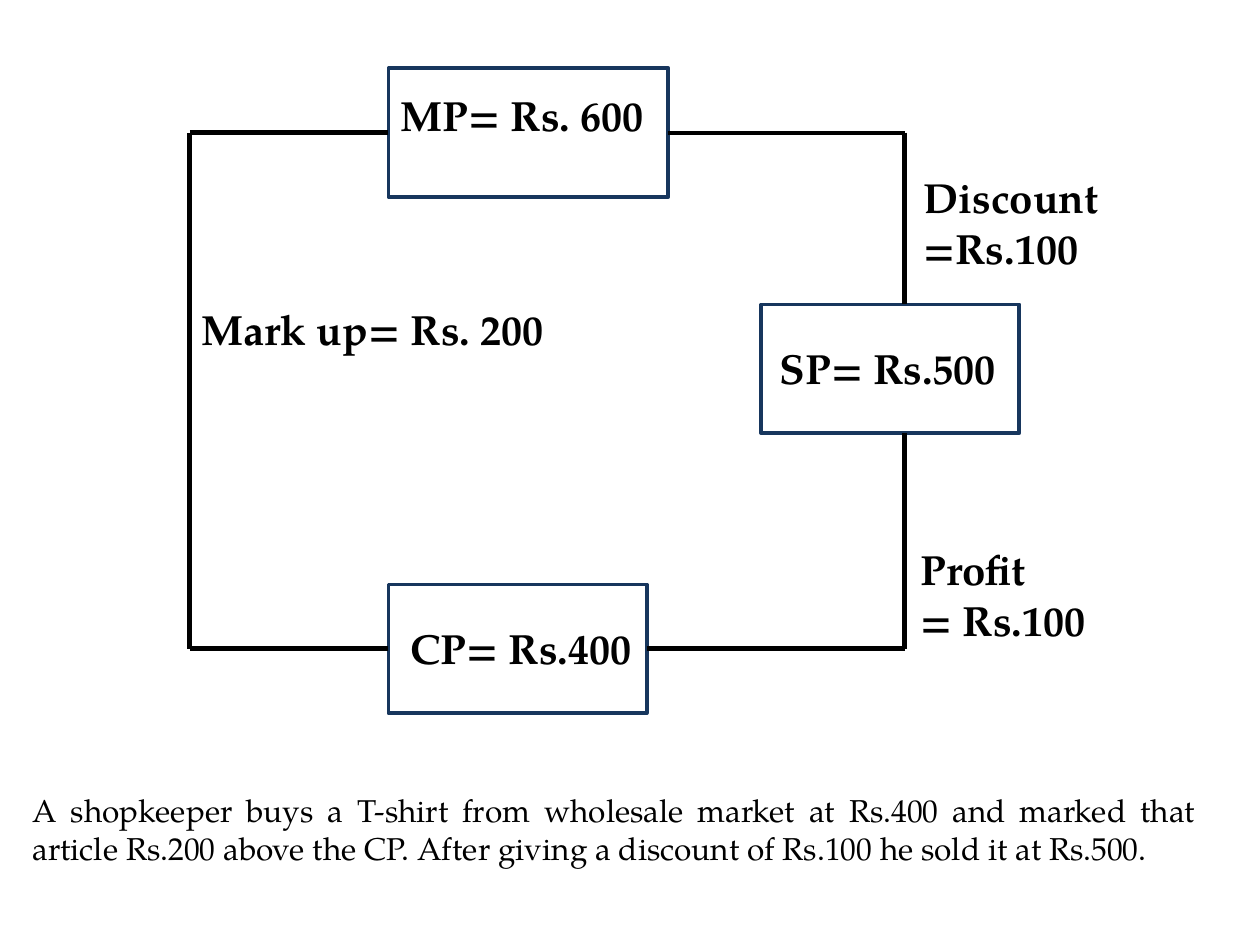
from lxml import etree
from pptx import Presentation
from pptx.dml.color import RGBColor
from pptx.enum import shapes, text
from pptx.oxml.ns import qn
from pptx.util import Pt

BLACK = RGBColor(0x00, 0x00, 0x00)
WHITE = RGBColor(0xFF, 0xFF, 0xFF)
NAVY = RGBColor(0x17, 0x36, 0x5D)
FONT = "TeX Gyre Pagella"

presentation = Presentation()
presentation.slide_width = Pt(720)
presentation.slide_height = Pt(540)
slide = presentation.slides.add_slide(presentation.slide_layouts[6])


def add_text(lines, left, top, width, height, size=24, bold=True,
             alignment=text.PP_ALIGN.LEFT):
    box = slide.shapes.add_textbox(Pt(left), Pt(top), Pt(width), Pt(height))
    frame = box.text_frame
    frame.word_wrap = True
    frame.auto_size = text.MSO_AUTO_SIZE.SHAPE_TO_FIT_TEXT
    frame.text = "\n".join(lines)
    font_format = {"name": FONT, "size": Pt(size), "bold": bold}
    for paragraph in frame.paragraphs:
        paragraph.alignment = alignment
        for name, value in font_format.items():
            setattr(paragraph.font, name, value)
        paragraph.font.color.rgb = BLACK


# Price boxes: left, top, width
BOX_HEIGHT = 73.5
sp_top = 174
for left, top, width in [(435, sp_top, 147.5), (222, 334, 147.5), (222, 39, 160)]:
    price_box = slide.shapes.add_shape(
        shapes.MSO_SHAPE.RECTANGLE, Pt(left), Pt(top), Pt(width), Pt(BOX_HEIGHT))
    price_box.shadow.inherit = False
    price_box.fill.solid()
    price_box.fill.fore_color.rgb = WHITE
    price_box.line.color.rgb = NAVY
    price_box.line.width = Pt(2.25)

add_text(["MP= Rs. 600"], 222, 47.5, 160, 36)
add_text(["CP= Rs.400"], 227.5, 352, 142.5, 36)
add_text(["SP= Rs.500"], 438.5, 192, 140, 36)

# Lines joining the boxes
left_x, right_x = 108.5, 517
mp_y, cp_y = 75.75, 370.75
connections = [
    (222, cp_y, left_x, cp_y, 3),
    (left_x, cp_y, left_x, mp_y, 3),
    (left_x, mp_y, 222, mp_y, 3),
    (382, mp_y, right_x, mp_y, 2.25),
    (right_x, mp_y, right_x, sp_top, 3),
    (right_x, sp_top + BOX_HEIGHT, right_x, cp_y, 3),
    (369.5, cp_y, right_x, cp_y, 3),
]
for start_x, start_y, end_x, end_y, width in connections:
    connector = slide.shapes.add_connector(
        shapes.MSO_CONNECTOR.STRAIGHT, Pt(start_x), Pt(start_y), Pt(end_x), Pt(end_y))
    connector.line.color.rgb = BLACK
    connector.line.width = Pt(width)
    etree.SubElement(connector._element.spPr, qn("a:effectLst"))

add_text(["Mark up= Rs. 200"], 108, 170, 219.5, 36)
add_text(["Discount =Rs.100"], 520.75, 94.5, 186, 65.5)
add_text(["Profit", "= Rs.100"], 519, 307.25, 160, 65.5)
add_text(
    ["A shopkeeper buys a T-shirt from wholesale market at Rs.400 and marked that "
     "article Rs.200 above the CP. After giving a discount of Rs.100 he sold it at Rs.500."],
    11.5, 448.5, 679, 51, size=18, bold=False, alignment=text.PP_ALIGN.JUSTIFY)

presentation.save("out.pptx")
